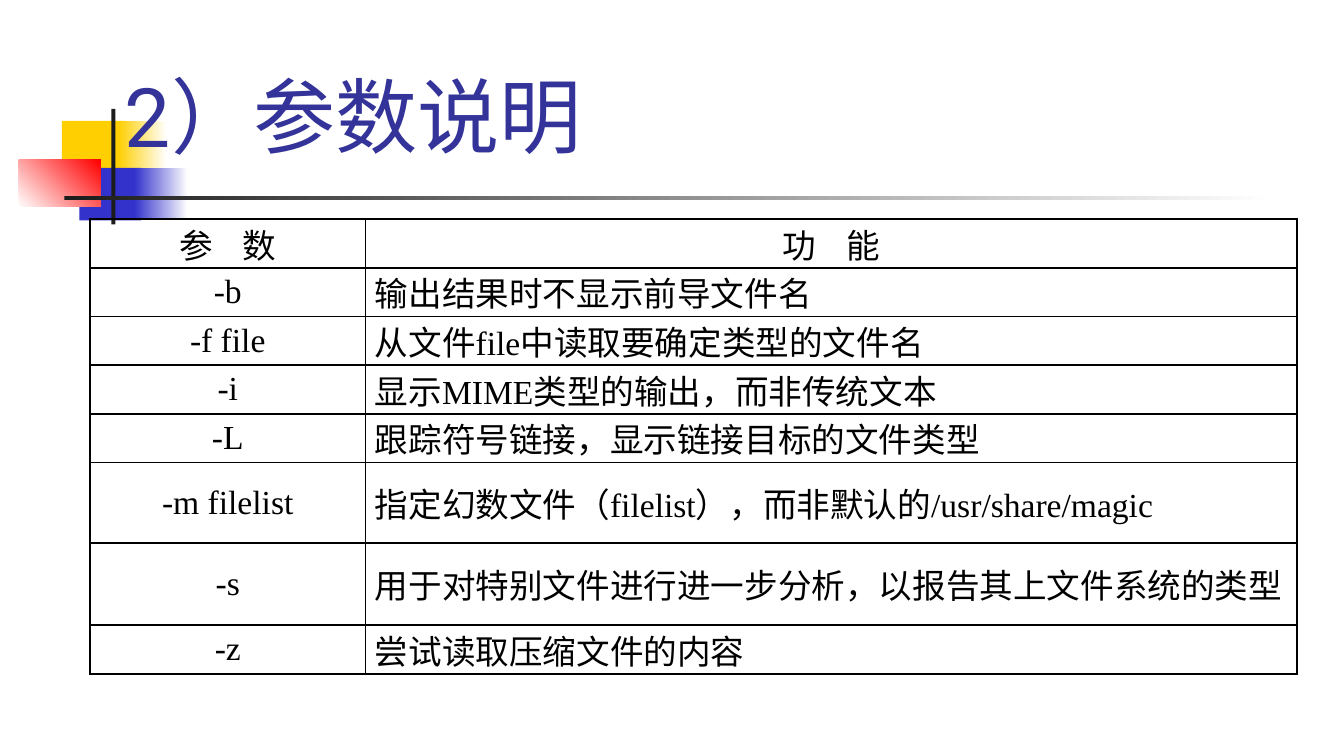
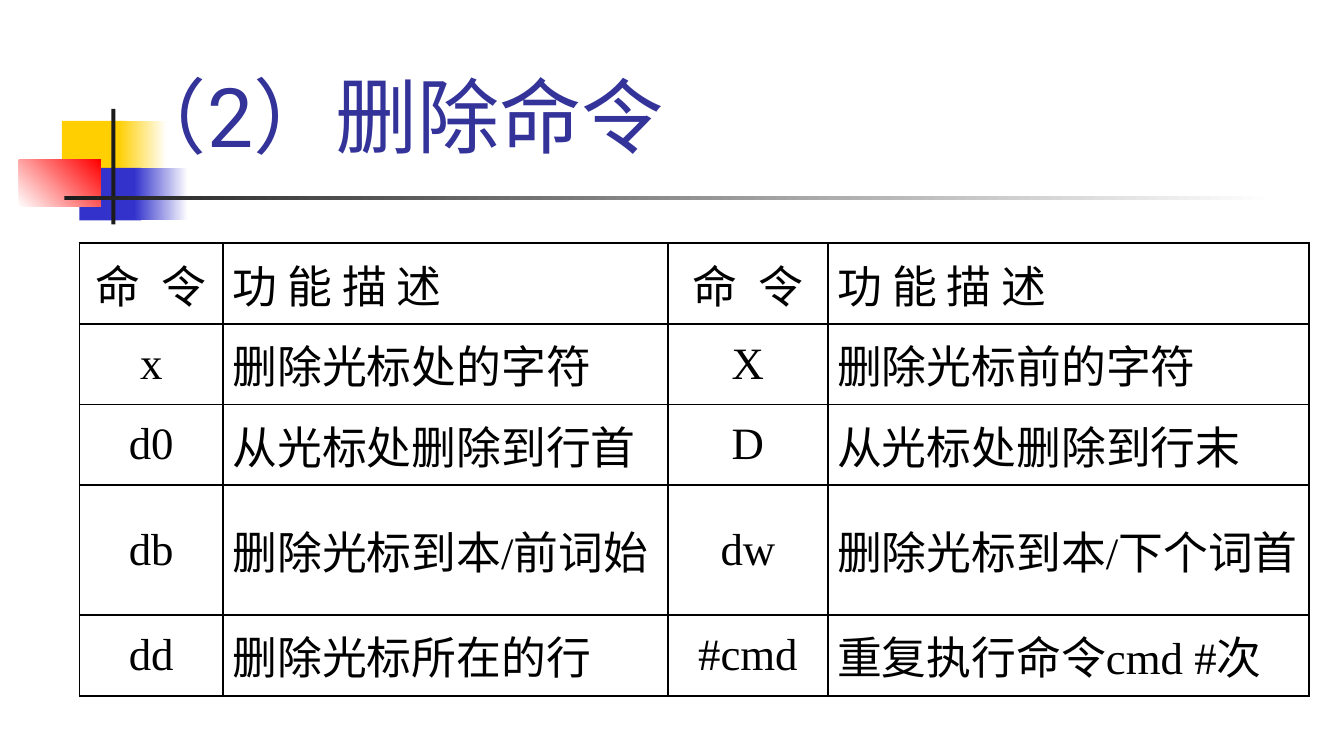
from lxml.etree import SubElement
from pptx import Presentation
from pptx.dml.color import RGBColor
from pptx.enum.shapes import MSO_SHAPE
from pptx.enum.text import MSO_ANCHOR, MSO_AUTO_SIZE, PP_ALIGN
from pptx.oxml.ns import qn
from pptx.util import Inches, Pt

YELLOW, BLUE, RED = "FFCF01", "3333CC", "FF0000"
INK, WHITE, BLACK, TITLE_COLOUR = "1C1C1C", "FFFFFF", "000000", "333399"
TITLE_FONT, TABLE_FONT = "Roboto", "Times New Roman"
CENTER, LEFT, JUSTIFY = PP_ALIGN.CENTER, PP_ALIGN.LEFT, PP_ALIGN.JUSTIFY

DECORATIONS = [
    ((0.46, 0.9, 0.48, 0.39), (YELLOW,), 0),
    ((0.88, 0.9, 0.36, 0.39), (YELLOW, WHITE), 0),
    ((0.59, 1.25, 0.46, 0.39), (BLUE,), 0),
    ((1, 1.25, 0.4, 0.39), (BLUE, WHITE), 0),
    ((0.14, 1.19, 0.61, 0.35), (WHITE, RED), 45),
    ((0.83, 0.81, 0.03, 0.86), (INK,), 0),
    ((0.48, 1.46, 9, 0.03), (INK, WHITE), 0),
]

SLIDES = [
    {
        "title": "2）参数说明",
        "origin": (0.67, 1.63),
        "columns": [2.05, 6.93],
        "heights": [0.34] * 5 + [0.6, 0.61, 0.34],
        "size": 18,
        "alignments": [CENTER, JUSTIFY],
        "header_alignments": [CENTER, CENTER],
        "header_spacing": 6,
        "thick_edge": None,
        "rows": [
            ("参 数", "功 能"),
            ("-b", "输出结果时不显示前导文件名"),
            ("-f file", "从文件file中读取要确定类型的文件名"),
            ("-i", "显示MIME类型的输出，而非传统文本"),
            ("-L", "跟踪符号链接，显示链接目标的文件类型"),
            ("-m filelist", "指定幻数文件（filelist），而非默认的/usr/share/magic"),
            ("-s", "用于对特别文件进行进一步分析，以报告其上文件系统的类型"),
            ("-z", "尝试读取压缩文件的内容"),
        ],
    },
    {
        "title": "（2）删除命令",
        "origin": (0.59, 1.81),
        "columns": [1.07, 3.31, 1.19, 3.58],
        "heights": [0.6] * 5,
        "size": 24,
        "alignments": [CENTER, LEFT] * 2,
        "header_alignments": [CENTER, LEFT] * 2,
        "header_spacing": 3,
        "thick_edge": 2,
        "rows": [
            ("命 令", "功 能 描 述") * 2,
            ("x", "删除光标处的字符", "X", "删除光标前的字符"),
            ("d0", "从光标处删除到行首", "D", "从光标处删除到行末"),
            ("db", "删除光标到本/前词始", "dw", "删除光标到本/下个词首"),
            ("dd", "删除光标所在的行", "#cmd", "重复执行命令cmd #次"),
        ],
    },
]


def colour(value):
    """Turn a hex string into a colour."""
    return RGBColor.from_string(value)


def format_paragraph(paragraph, alignment, font_name, size, font_colour, spacing=0):
    """Align a paragraph and format its runs, with letter spacing in points."""
    paragraph.alignment = alignment
    for run in paragraph.runs:
        run.font.name = font_name
        run.font.size = Pt(size)
        run.font.color.rgb = colour(font_colour)
        if spacing:
            run._r.get_or_add_rPr().set("spc", str(spacing * 100))


def decorate_layout(layout, slide):
    """Draw the shared blocks and rules, then move them to the layout."""
    for placeholder in list(layout.placeholders)[1:]:
        layout.shapes.element.remove(placeholder.element)
    for box, colours, angle in DECORATIONS:
        shape = slide.shapes.add_shape(MSO_SHAPE.RECTANGLE, *map(Inches, box))
        shape.shadow.inherit = False
        shape.line.fill.background()
        if len(colours) == 1:
            shape.fill.solid()
            shape.fill.fore_color.rgb = colour(colours[0])
        else:
            shape.fill.gradient()
            shape.fill.gradient_angle = angle
            for stop, value in zip(shape.fill.gradient_stops, colours):
                stop.color.rgb = colour(value)
    for shape in list(slide.shapes)[1:]:
        layout.shapes.element.append(shape.element)


def add_title(slide, text):
    """Place and format the slide title."""
    title = slide.shapes.title
    title.left, title.top, title.width, title.height = map(
        Inches, (0.83, 0.33, 8.92, 0.94)
    )
    frame = title.text_frame
    frame.text = text
    frame.auto_size = MSO_AUTO_SIZE.NONE
    frame.vertical_anchor = MSO_ANCHOR.BOTTOM
    format_paragraph(frame.paragraphs[0], LEFT, TITLE_FONT, 44, TITLE_COLOUR)


def set_borders(cell, left_width, right_width):
    """Draw four black cell borders."""
    properties = cell._tc.get_or_add_tcPr()
    widths = {"a:lnL": left_width, "a:lnR": right_width, "a:lnT": 1, "a:lnB": 1}
    for tag, width in widths.items():
        line = SubElement(properties, qn(tag), w=str(Pt(width)))
        fill = SubElement(line, qn("a:solidFill"))
        SubElement(fill, qn("a:srgbClr"), val=BLACK)


def add_table(slide, content):
    """Add the ruled table of a slide."""
    columns, heights = content["columns"], content["heights"]
    box = (*content["origin"], sum(columns), sum(heights))
    table = slide.shapes.add_table(
        len(heights), len(columns), *map(Inches, box)
    ).table
    table.first_row = table.horz_banding = False
    for column, width in zip(table.columns, columns):
        column.width = Inches(width)
    for row, height in zip(table.rows, heights):
        row.height = Inches(height)
    edges = [1.5 if i == content["thick_edge"] else 1 for i in range(len(columns) + 1)]
    for row_index, texts in enumerate(content["rows"]):
        is_header = row_index == 0
        alignments = content["header_alignments" if is_header else "alignments"]
        for column_index, text in enumerate(texts):
            alignment = alignments[column_index]
            is_spaced = is_header and alignment == CENTER
            cell = table.cell(row_index, column_index)
            cell.text_frame.text = text
            cell.vertical_anchor = MSO_ANCHOR.MIDDLE
            cell.margin_left = cell.margin_right = Inches(0.07)
            cell.margin_top = cell.margin_bottom = 0
            set_borders(cell, *edges[column_index:column_index + 2])
            cell.fill.background()
            format_paragraph(
                cell.text_frame.paragraphs[0], alignment, TABLE_FONT,
                content["size"], BLACK, content["header_spacing"] if is_spaced else 0,
            )


def main():
    """Build and save the presentation."""
    presentation = Presentation()
    presentation.slide_width = Inches(10)
    presentation.slide_height = Inches(10) * 9 // 16
    layout = presentation.slide_layouts[5]
    for index, content in enumerate(SLIDES):
        slide = presentation.slides.add_slide(layout)
        if index == 0:
            decorate_layout(layout, slide)
        add_title(slide, content["title"])
        add_table(slide, content)
    presentation.save("out.pptx")


if __name__ == "__main__":
    main()
